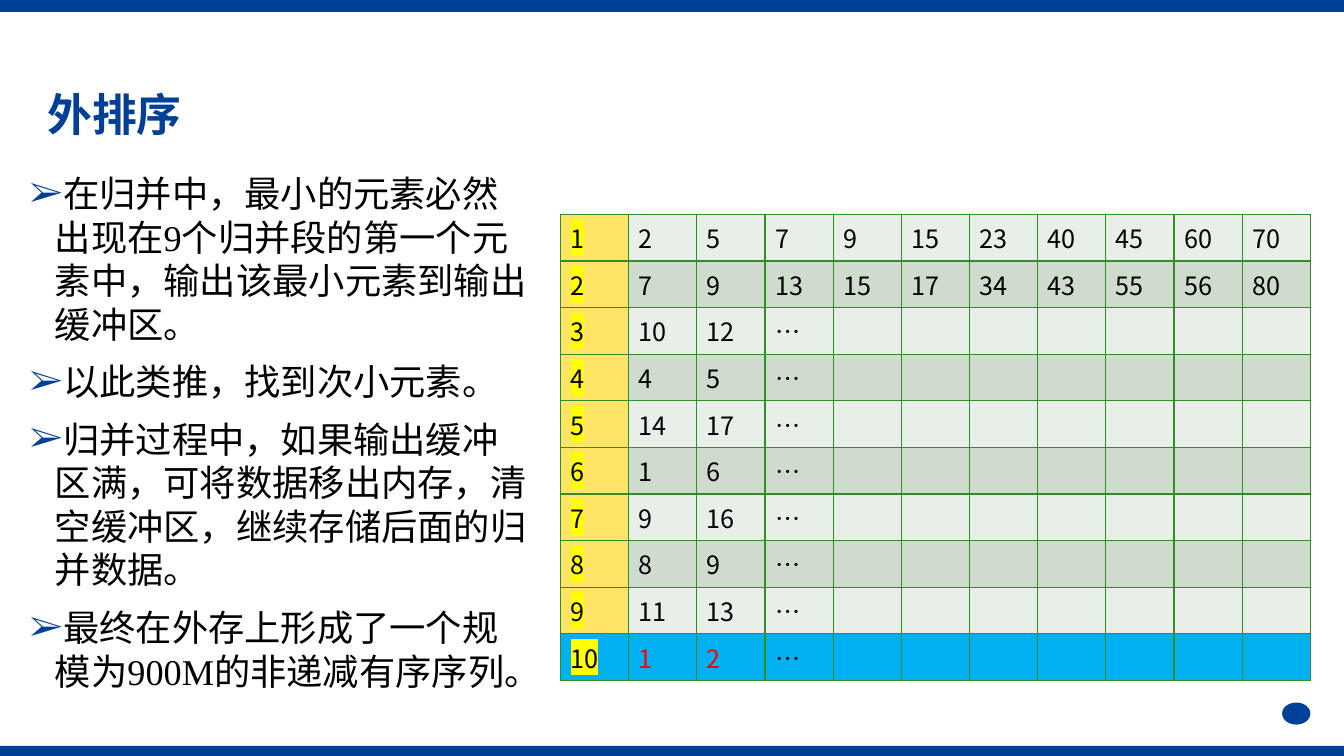
import lxml.etree
import pptx
import pptx.dml.color
import pptx.enum.shapes
import pptx.enum.text
import pptx.oxml.ns
import pptx.util

Pt = pptx.util.Pt
RGBColor = pptx.dml.color.RGBColor
qn = pptx.oxml.ns.qn

BLUE = RGBColor(0x00, 0x40, 0x98)
BLACK = RGBColor(0x00, 0x00, 0x00)
RED = RGBColor(0xFF, 0x00, 0x00)
YELLOW = RGBColor(0xFF, 0xFF, 0x00)
GRID_GREEN = RGBColor(0x33, 0x8D, 0x27)
RUN_NUMBER_FILL = RGBColor(0xFF, 0xE4, 0x65)
ROW_FILLS = (RGBColor(0xE8, 0xEE, 0xE8), RGBColor(0xCE, 0xDB, 0xCD))
OUTPUT_FILL = RGBColor(0x00, 0xB0, 0xF0)

SANS = "Noto Sans CJK SC"
SERIF = "Times New Roman"
SLIDE_WIDTH, SLIDE_HEIGHT = 960, 540
COLUMN_COUNT = 11

STEPS = (
    "在归并中，最小的元素必然出现在9个归并段的第一个元素中，输出该最小元素到输出缓冲区。",
    "以此类推，找到次小元素。",
    "归并过程中，如果输出缓冲区满，可将数据移出内存，清空缓冲区，继续存储后面的归并数据。",
    "最终在外存上形成了一个规模为900M的非递减有序序列。",
)
MERGE_RUNS = (
    (2, 5, 7, 9, 15, 23, 40, 45, 60, 70),
    (7, 9, 13, 15, 17, 34, 43, 55, 56, 80),
    (10, 12, "…"),
    (4, 5, "…"),
    (14, 17, "…"),
    (1, 6, "…"),
    (9, 16, "…"),
    (8, 9, "…"),
    (11, 13, "…"),
    (1, 2, "…"),
)


def add_child(parent, tag, **attributes):
    return lxml.etree.SubElement(parent, qn(tag), attributes)


def place(shape, left, top, width, height):
    shape.left, shape.top = Pt(left), Pt(top)
    shape.width, shape.height = Pt(width), Pt(height)


def add_text(paragraph, text, size, color, latin=SANS, bold=False, highlight=None):
    run = paragraph.add_run()
    run.text = text
    run.font.size = Pt(size)
    run.font.bold = bold
    run.font.color.rgb = color
    properties = run.font._element
    properties.set("lang", "zh-CN")
    if highlight is not None:
        marker = add_child(properties, "a:highlight")
        add_child(marker, "a:srgbClr", val=str(highlight))
    run.font.name = latin
    add_child(properties, "a:ea", typeface=SANS)


def set_indent(paragraph, points):
    """Hang the first line back by the left margin."""
    properties = paragraph._p.get_or_add_pPr()
    properties.set("marL", str(Pt(points)))
    properties.set("indent", str(-Pt(points)))
    return properties


def add_solid(slide, kind, left, top, width, height):
    shape = slide.shapes.add_shape(kind, Pt(left), Pt(top), Pt(width), Pt(height))
    shape.shadow.inherit = False
    shape.fill.solid()
    shape.fill.fore_color.rgb = BLUE
    shape.line.fill.background()


def fill_title(title):
    place(title, 26.6, 61.2, 437.8, 45.4)
    frame = title.text_frame
    frame.auto_size = pptx.enum.text.MSO_AUTO_SIZE.NONE
    frame.vertical_anchor = pptx.enum.text.MSO_ANCHOR.MIDDLE
    heading = frame.paragraphs[0]
    set_indent(heading, 66.2)
    heading.alignment = pptx.enum.text.PP_ALIGN.LEFT
    heading.line_spacing = 0.9
    add_text(heading, "外排序", 32, BLUE, bold=True)


def fill_steps(body):
    place(body, 14, 118.8, 375, 398.2)
    frame = body.text_frame
    frame.auto_size = pptx.enum.text.MSO_AUTO_SIZE.NONE
    for number, step in enumerate(STEPS):
        paragraph = frame.add_paragraph() if number else frame.paragraphs[0]
        properties = set_indent(paragraph, 18)
        bullet_color = add_child(properties, "a:buClr")
        add_child(bullet_color, "a:srgbClr", val=str(BLUE))
        add_child(properties, "a:buFont", typeface=SERIF)
        add_child(properties, "a:buChar", char="➢")
        paragraph.line_spacing = Pt(31.1)
        paragraph.space_before = Pt(10 if number else 0)
        add_text(paragraph, step, 25.9, BLACK, latin=SERIF)


def style_cell(cell, fill):
    properties = cell._tc.get_or_add_tcPr()
    for side in ("a:lnL", "a:lnR", "a:lnT", "a:lnB"):
        border = add_child(properties, side, w=str(Pt(1)))
        border_fill = add_child(border, "a:solidFill")
        add_child(border_fill, "a:srgbClr", val=str(GRID_GREEN))
    cell.fill.solid()
    cell.fill.fore_color.rgb = fill


def add_merge_table(slide):
    row_count = len(MERGE_RUNS)
    table = slide.shapes.add_table(
        row_count, COLUMN_COUNT, Pt(400.3), Pt(153.2), Pt(535.7), Pt(292)
    ).table
    table.first_row = False
    table.horz_banding = False
    for column in table.columns:
        column.width = Pt(48.7)
    for row_index, values in enumerate(MERGE_RUNS):
        is_output = row_index == row_count - 1
        row_fill = OUTPUT_FILL if is_output else ROW_FILLS[row_index % 2]
        entries = (row_index + 1,) + values
        for column_index in range(COLUMN_COUNT):
            cell = table.cell(row_index, column_index)
            is_number = column_index == 0
            style_cell(cell, RUN_NUMBER_FILL if is_number and not is_output else row_fill)
            if column_index < len(entries):
                entry = entries[column_index]
                is_merged = is_output and not is_number and entry != "…"
                add_text(cell.text_frame.paragraphs[0], str(entry), 18,
                         RED if is_merged else BLACK,
                         highlight=YELLOW if is_number else None)


def main():
    deck = pptx.Presentation()
    deck.slide_width, deck.slide_height = Pt(SLIDE_WIDTH), Pt(SLIDE_HEIGHT)
    slide = deck.slides.add_slide(deck.slide_layouts[1])
    shapes = pptx.enum.shapes.MSO_SHAPE
    add_solid(slide, shapes.RECTANGLE, 0, 532.8, SLIDE_WIDTH, 7.2)
    add_solid(slide, shapes.RECTANGLE, 0, 0, SLIDE_WIDTH, 8.6)
    fill_steps(slide.placeholders[1])
    fill_title(slide.shapes.title)
    add_solid(slide, shapes.OVAL, 915.8, 501.8, 20.2, 15.8)
    add_merge_table(slide)
    deck.save("out.pptx")


if __name__ == "__main__":
    main()
